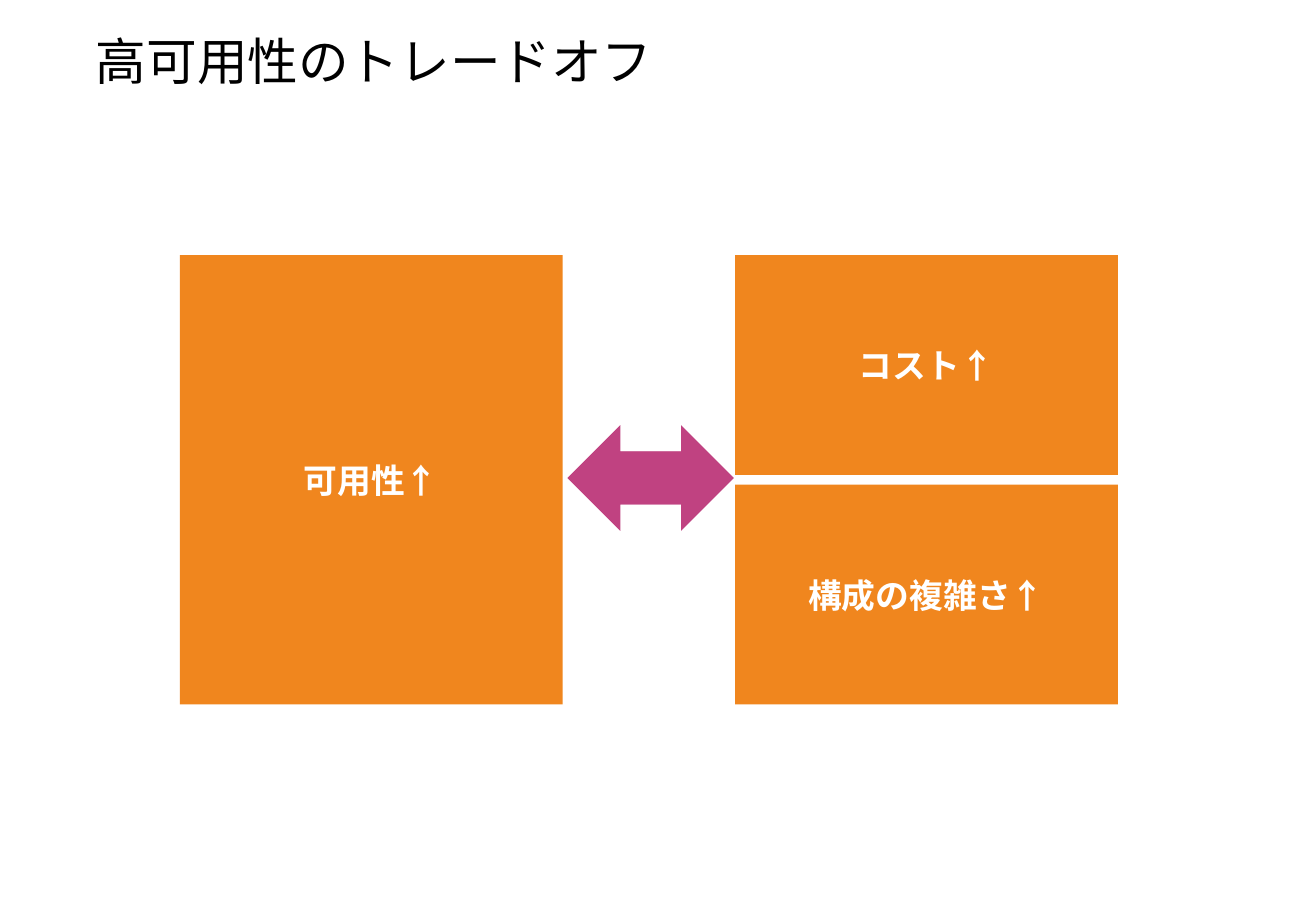
"""Build a slide on the trade-offs of high availability."""
from dataclasses import dataclass

from pptx import Presentation
from pptx import util as u
from pptx.dml.color import RGBColor
from pptx.enum import shapes, text
from pptx.oxml.ns import qn
from lxml import etree

FONT = "Noto Sans CJK JP"
ORANGE, MAGENTA, WHITE, BLACK = "F0861E", "C04281", "FFFFFF", "000000"
COLUMN_WIDTH, COLUMN_TOP, COLUMN_HEIGHT = 3.15, 2.1, 3.7
BENEFIT_LEFT, BURDEN_LEFT = 1.48, 6.05
BURDEN_GAP = 0.08
BURDEN_HEIGHT = (COLUMN_HEIGHT - BURDEN_GAP) / 2


@dataclass
class Factor:
    label: str
    left: float
    top: float
    height: float


@dataclass
class Arrow:
    left: float
    rotation: float


FACTORS = [Factor("可用性↑", BENEFIT_LEFT, COLUMN_TOP, COLUMN_HEIGHT)] + [
    Factor(label, BURDEN_LEFT, COLUMN_TOP + row * (BURDEN_HEIGHT + BURDEN_GAP), BURDEN_HEIGHT)
    for row, label in enumerate(["コスト↑", "構成の複雑さ↑"])
]
ARROWS = [Arrow(5.1, 0), Arrow(4.67, 180)]


def color(value: str) -> RGBColor:
    return RGBColor.from_string(value)


def add_run(paragraph, words: str, size: int, ink: str, bold: bool = False) -> None:
    run = paragraph.add_run()
    run.text = words
    run.font.size = u.Pt(size)
    run.font.bold = bold
    run.font.color.rgb = color(ink)
    run.font.name = FONT
    etree.SubElement(run.font._element, qn("a:ea"), typeface=FONT)


def add_filled(slide, kind, left: float, top: float, width: float, height: float, fill: str):
    shape = slide.shapes.add_shape(kind, *map(u.Inches, (left, top, width, height)))
    shape.shadow.inherit = False
    shape.fill.solid()
    shape.fill.fore_color.rgb = color(fill)
    shape.line.fill.background()
    return shape


def add_title(slide, words: str) -> None:
    title = slide.shapes.add_textbox(*map(u.Inches, (0.69, 0.25, 9.45, 0.55)))
    frame = title.text_frame
    frame.word_wrap = True
    frame.vertical_anchor = text.MSO_ANCHOR.MIDDLE
    frame.paragraphs[0].line_spacing = 0.9
    add_run(frame.paragraphs[0], words, 30, BLACK)


def add_factor(slide, factor: Factor) -> None:
    panel = add_filled(slide, shapes.MSO_SHAPE.RECTANGLE, factor.left, factor.top,
                       COLUMN_WIDTH, factor.height, ORANGE)
    frame = panel.text_frame
    frame.vertical_anchor = text.MSO_ANCHOR.MIDDLE
    frame.paragraphs[0].alignment = text.PP_ALIGN.CENTER
    add_run(frame.paragraphs[0], factor.label, 20, WHITE, bold=True)


def add_arrow(slide, arrow: Arrow) -> None:
    pointer = add_filled(slide, shapes.MSO_SHAPE.RIGHT_ARROW, arrow.left, 3.5, 0.94, 0.87, MAGENTA)
    pointer.rotation = arrow.rotation


def main() -> None:
    deck = Presentation()
    deck.slide_width, deck.slide_height = u.Inches(10.83), u.Inches(7.5)
    slide = deck.slides.add_slide(deck.slide_layouts[6])
    add_title(slide, "高可用性のトレードオフ")
    for factor in FACTORS:
        add_factor(slide, factor)
    for arrow in ARROWS:
        add_arrow(slide, arrow)
    deck.save("out.pptx")


if __name__ == "__main__":
    main()
